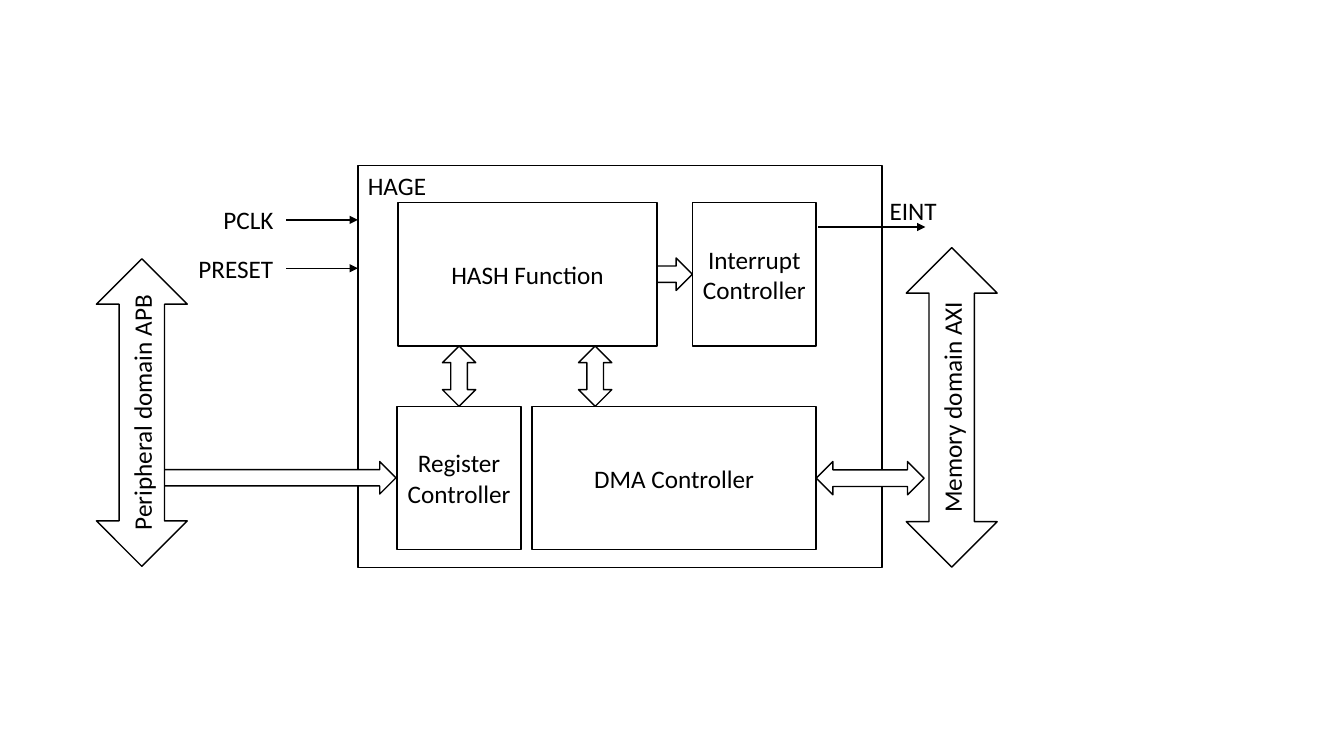
"""Build the block diagram slide of the HAGE hash engine."""
from dataclasses import dataclass

from lxml.etree import SubElement
from pptx import Presentation
from pptx.dml.color import RGBColor
from pptx.enum.shapes import MSO_CONNECTOR, MSO_SHAPE
from pptx.enum.text import MSO_ANCHOR, PP_ALIGN
from pptx.oxml.ns import qn
from pptx.slide import Slide
from pptx.text.text import TextFrame
from pptx.util import Cm, Pt

BLACK = "000000"
WHITE = "FFFFFF"
FONT_FORMAT = {"name": "Calibri", "size": Pt(18)}
BLOCK_TEXT_FORMAT = {
    "word_wrap": True,
    "vertical_anchor": MSO_ANCHOR.MIDDLE,
    "margin_left": Cm(0.2),
    "margin_right": Cm(0.2),
}
LABEL_TEXT_FORMAT = {"word_wrap": False, "vertical_anchor": MSO_ANCHOR.TOP}
LABEL_HEIGHT = 1.02
BLOCK_HEIGHT = 3.61
UPPER_ROW = 5.11
LOWER_ROW = 10.24


@dataclass
class Block:
    """A preset shape with optional centred text, in centimetres."""
    kind: MSO_SHAPE
    left: float
    top: float
    width: float
    height: float
    text: str = ""
    rotation: float = 0


@dataclass
class Signal:
    """A horizontal signal arrow with its label, in centimetres."""
    start: float
    end: float
    height: float


@dataclass
class Label:
    """A free label, in centimetres."""
    text: str
    left: float
    top: float
    width: float


BLOCKS = [
    Block(MSO_SHAPE.RECTANGLE, 9.02, 4.17, 13.21, 10.13),
    Block(MSO_SHAPE.RECTANGLE, 10.03, UPPER_ROW, 6.53, BLOCK_HEIGHT, "HASH Function"),
    Block(MSO_SHAPE.RIGHT_ARROW, 4.11, 11.63, 5.87, 0.82),
    Block(MSO_SHAPE.LEFT_RIGHT_ARROW, -0.3, 9.25, 7.75, 2.29, "Peripheral domain APB", 270),
    Block(MSO_SHAPE.RECTANGLE, 10.01, LOWER_ROW, 3.12, BLOCK_HEIGHT, "Register Controller"),
    Block(MSO_SHAPE.RECTANGLE, 13.41, LOWER_ROW, 7.16, BLOCK_HEIGHT, "DMA Controller"),
    Block(MSO_SHAPE.LEFT_RIGHT_ARROW, 20.57, 11.63, 2.72, 0.84),
    Block(MSO_SHAPE.UP_DOWN_ARROW, 11.15, 8.72, 0.84, 1.52),
    Block(MSO_SHAPE.UP_DOWN_ARROW, 14.58, 8.72, 0.84, 1.52),
    Block(MSO_SHAPE.LEFT_RIGHT_ARROW, 19.96, 9.12, 8.05, 2.29, "Memory domain AXI", 270),
    Block(MSO_SHAPE.RECTANGLE, 17.45, UPPER_ROW, 3.12, BLOCK_HEIGHT, "Interrupt Controller"),
    Block(MSO_SHAPE.RIGHT_ARROW, 16.56, 6.5, 0.89, 0.82),
]
SIGNALS = [
    Signal(7.21, 9.02, 5.54),
    Signal(7.21, 9.02, 6.76),
    Signal(20.62, 23.32, 5.72),
]
LABELS = [
    Label("HAGE", 9.02, 4.17, 2.01),
    Label("PCLK", 5.38, 5.03, 1.83),
    Label("PRESET", 4.75, 6.25, 2.46),
    Label("EINT", 22.17, 4.8, 1.7),
]


def color(value: str) -> RGBColor:
    """Return the colour of a hex string."""
    return RGBColor.from_string(value)


def apply_format(target: object, values: dict) -> None:
    """Set each named attribute on the target."""
    for name, value in values.items():
        setattr(target, name, value)


def write_text(frame: TextFrame, text: str, frame_format: dict, alignment: PP_ALIGN) -> None:
    """Write one formatted paragraph into a text frame."""
    apply_format(frame, frame_format)
    para = frame.paragraphs[0]
    para.alignment = alignment
    span = para.add_run()
    span.text = text
    apply_format(span.font, FONT_FORMAT)
    span.font.color.rgb = color(BLACK)


def draw_block(page: Slide, block: Block) -> None:
    """Draw a white shape with a black outline."""
    box = page.shapes.add_shape(
        block.kind, Cm(block.left), Cm(block.top), Cm(block.width), Cm(block.height)
    )
    box.rotation = block.rotation
    box.shadow.inherit = False
    box.fill.solid()
    box.fill.fore_color.rgb = color(WHITE)
    box.line.color.rgb = color(BLACK)
    box.line.width = Pt(1)
    if block.text:
        write_text(box.text_frame, block.text, BLOCK_TEXT_FORMAT, PP_ALIGN.CENTER)


def draw_signal(page: Slide, signal: Signal) -> None:
    """Draw a thin arrow pointing right."""
    connector = page.shapes.add_connector(
        MSO_CONNECTOR.STRAIGHT,
        Cm(signal.start), Cm(signal.height), Cm(signal.end), Cm(signal.height),
    )
    connector.line.color.rgb = color(BLACK)
    connector.line.width = Pt(1)
    properties = connector._element.spPr
    SubElement(properties.find(qn("a:ln")), qn("a:tailEnd"), type="triangle")
    SubElement(properties, qn("a:effectLst"))


def draw_label(page: Slide, label: Label) -> None:
    """Draw a left-aligned label."""
    box = page.shapes.add_textbox(
        Cm(label.left), Cm(label.top), Cm(label.width), Cm(LABEL_HEIGHT)
    )
    write_text(box.text_frame, label.text, LABEL_TEXT_FORMAT, PP_ALIGN.LEFT)


def main() -> None:
    """Build and save the deck."""
    deck = Presentation()
    deck.slide_width = Cm(33.87)
    deck.slide_height = Cm(19.05)
    page = deck.slides.add_slide(deck.slide_layouts[6])
    for block in BLOCKS:
        draw_block(page, block)
    for signal in SIGNALS:
        draw_signal(page, signal)
    for label in LABELS:
        draw_label(page, label)
    deck.save("out.pptx")


if __name__ == "__main__":
    main()
